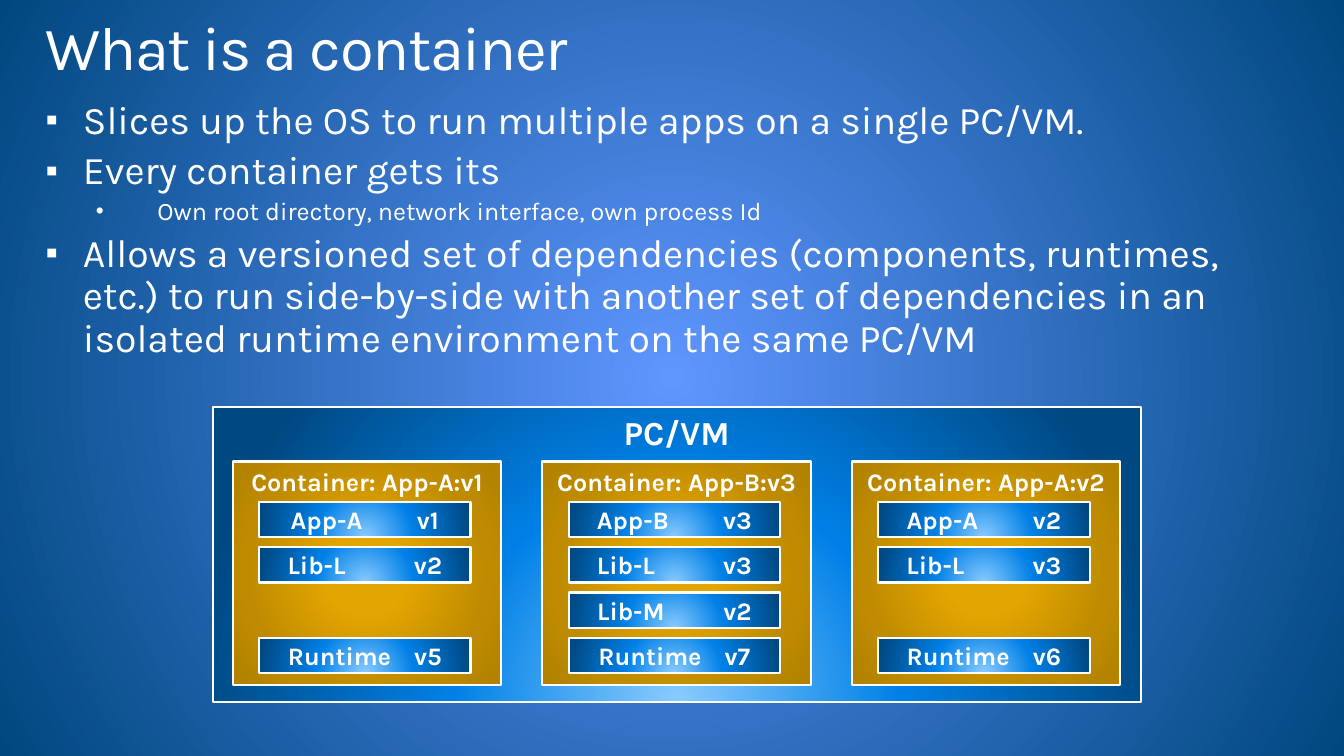
from lxml.etree import SubElement as Sub
from pptx import Presentation
from pptx.dml.color import RGBColor
from pptx.enum.shapes import MSO_SHAPE as Kind
from pptx.enum.text import MSO_ANCHOR as Anchor, PP_ALIGN as Align
from pptx.oxml.ns import qn
from pptx.util import Cm, Pt

FONT = "Karla"
WHITE = "FFFFFF"
MID = (50, 50, 50, 50)
LOW = (50, 130, 50, -30)
SKY = ([(0, "5F96FF"), (100, "00477F")], MID)
BLUE = ([(0, "89CBFF"), (46, "0080E6"), (100, "004881")], LOW)
GOLD = ([(0, "E3A500"), (23, "E3A500"), (69, "BF8B00"), (97, "B28200")], MID)

POINTS = [
    ("Slices up the OS to run multiple apps on a single PC/VM.", 0),
    ("Every container gets its", 0),
    ("Own root directory, network interface, own process Id", 1),
    ("Allows a versioned set of dependencies (components, runtimes, etc.) "
     "to run side-by-side with another set of dependencies in an isolated "
     "runtime environment on the same PC/VM", 0),
]
LEVELS = [
    {"size": 28, "mark": "▪", "left": 0.94, "hang": 0.94},
    {"size": 18, "mark": "•", "left": 2.82, "hang": 1.55},
]
PODS = [
    ("App-A:v1", {0: "App-A\tv1", 1: "Lib-L\tv2", 3: "Runtime\tv5"}),
    ("App-B:v3", {0: "App-B\tv3", 1: "Lib-L\tv3", 2: "Lib-M\tv2",
                  3: "Runtime\tv7"}),
    ("App-A:v2", {0: "App-A\tv2", 1: "Lib-L\tv3", 3: "Runtime\tv6"}),
]


def hue(code):
    """Turn a hex string into a colour."""
    return RGBColor.from_string(code)


def glow(fill, root, stops, rect):
    """Give a fill a round gradient of the listed stops."""
    fill.gradient()
    grad = root.find(".//" + qn("a:gradFill"))
    grad.clear()
    grad.set("rotWithShape", "1")
    row = Sub(grad, qn("a:gsLst"))
    for pos, code in stops:
        stop = Sub(row, qn("a:gs"), pos=str(pos * 1000))
        Sub(stop, qn("a:srgbClr"), val=str(hue(code)))
    way = Sub(grad, qn("a:path"), path="circle")
    sides = {side: str(part * 1000) for side, part in zip("ltrb", rect)}
    Sub(way, qn("a:fillToRect"), sides)


def write(para, text, size=18, bold=False, align=Align.LEFT, space=0):
    """Add formatted text to a paragraph."""
    para.alignment = align
    run = para.add_run()
    run.text = text
    font = run.font
    font.name, font.size, font.bold = FONT, Pt(size), bold
    font.color.rgb = hue(WHITE)
    if space:
        run._r.get_or_add_rPr().set("spc", str(space * 100))


def inset(frame, wide, high):
    """Set the wrapping and the margins of a text frame."""
    frame.word_wrap = True
    frame.margin_left = frame.margin_right = Cm(wide)
    frame.margin_top = frame.margin_bottom = Cm(high)


def area(slide, left, top, width, height):
    """Add a text box and return its frame."""
    box = slide.shapes.add_textbox(Cm(left), Cm(top), Cm(width), Cm(height))
    inset(box.text_frame, 0.41, 0.25)
    return box.text_frame


def bullet(para, text, size, mark, left, hang):
    """Write a bulleted paragraph with a hanging indent."""
    para.line_spacing = 0.9
    para.space_before = Pt(size * 0.2)
    write(para, text, size=size)
    props = para._p.get_or_add_pPr()
    props.set("marL", str(Cm(left)))
    props.set("indent", str(-Cm(hang)))
    Sub(Sub(props, qn("a:buClr")), qn("a:srgbClr"), val=str(hue(WHITE)))
    Sub(props, qn("a:buSzPct"), val="90000")
    Sub(props, qn("a:buFont"), typeface="Arial")
    Sub(props, qn("a:buChar"), char=mark)


def panel(shapes, left, top, width, height, text, look,
          size=18, anchor=Anchor.TOP):
    """Add a labelled gradient rectangle and return its paragraph."""
    box = shapes.add_shape(Kind.RECTANGLE, Cm(left), Cm(top),
                           Cm(width), Cm(height))
    box.shadow.inherit = False
    glow(box.fill, box.element, *look)
    box.line.color.rgb = hue(WHITE)
    box.line.width = Pt(1.5)
    frame = box.text_frame
    inset(frame, 0.13, 0.13)
    frame.vertical_anchor = anchor
    para = frame.paragraphs[0]
    write(para, text, size=size, bold=True, align=Align.CENTER)
    return para


def pod(slide, left, name, parts):
    """Add one container with its parts on a grid of rows."""
    shapes = slide.shapes.add_group_shape().shapes
    panel(shapes, left, 11.63, 6.76, 5.64, "Container: " + name, GOLD)
    for row, text in parts.items():
        para = panel(shapes, left + 0.66, 12.65 + 1.14 * row, 5.33, 0.89,
                     text, BLUE, anchor=Anchor.MIDDLE)
        tabs = Sub(para._p.get_or_add_pPr(), qn("a:tabLst"))
        Sub(tabs, qn("a:tab"), pos=str(Cm(3.18)), algn="l")


def main():
    """Build the slide and save it."""
    deck = Presentation()
    deck.slide_width, deck.slide_height = Cm(33.87), Cm(19.05)
    slide = deck.slides.add_slide(deck.slide_layouts[6])
    glow(slide.background.fill, slide.element, *SKY)

    body = area(slide, 0.74, 2.29, 32.36, 7.21)
    for rank, (text, level) in enumerate(POINTS):
        para = body.add_paragraph() if rank else body.paragraphs[0]
        para.level = level
        bullet(para, text, **LEVELS[level])

    title = area(slide, 0.74, 0.18, 32.39, 2.49).paragraphs[0]
    title.line_spacing = 0.9
    write(title, "What is a container", size=44, space=-1)

    panel(slide.shapes, 5.36, 10.26, 23.39, 7.42, "PC/VM", BLUE, size=24)
    for rank, (name, parts) in enumerate(PODS):
        pod(slide, 5.87 + 7.8 * rank, name, parts)
    deck.save("out.pptx")


if __name__ == "__main__":
    main()
